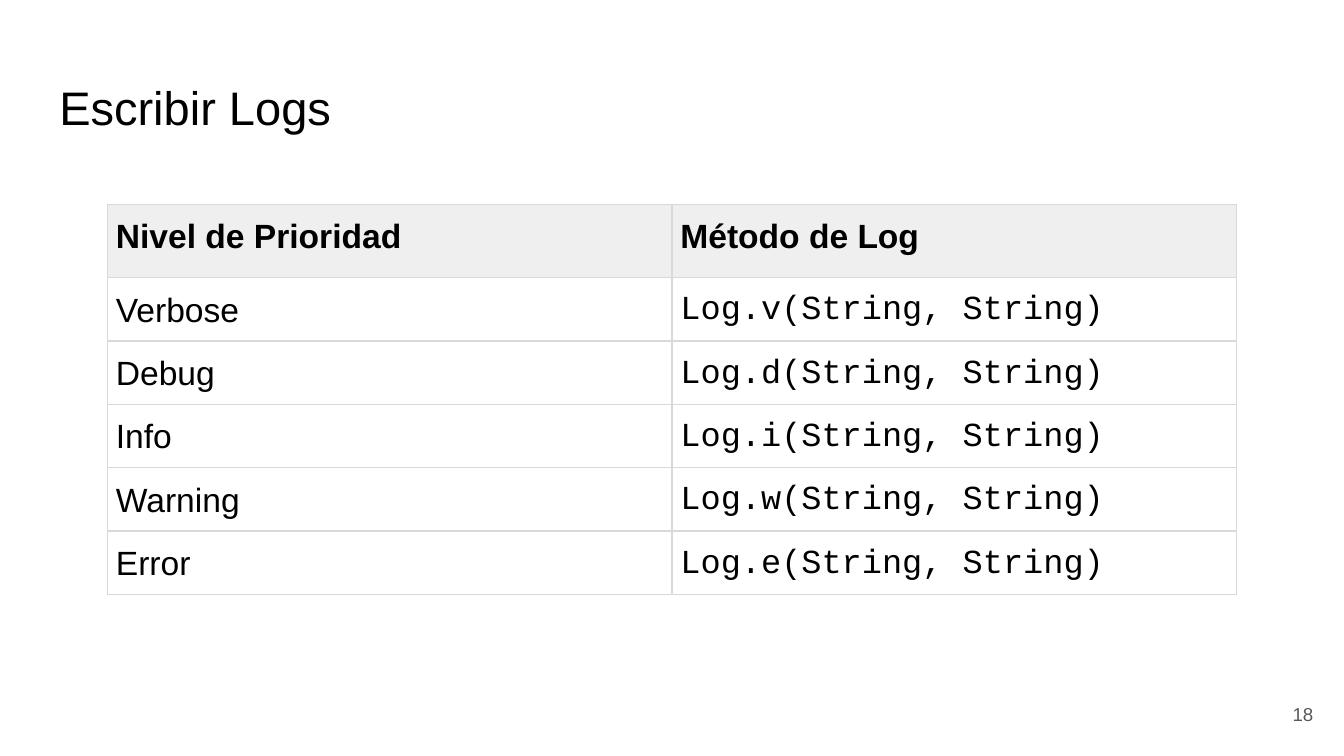
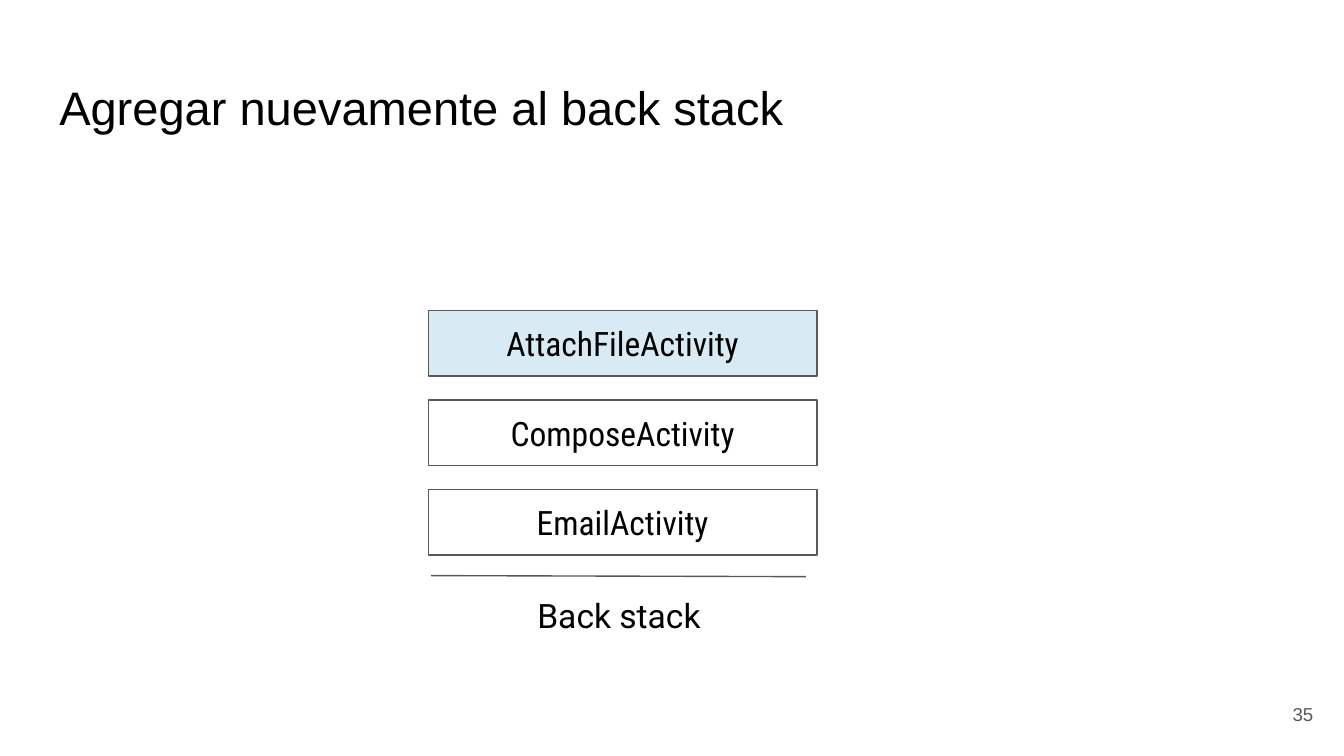
"""Build two slides: a table of log methods and a back stack diagram."""
from dataclasses import dataclass

from lxml.etree import SubElement
from pptx import Presentation
from pptx.dml.color import RGBColor as Rgb
from pptx.enum.shapes import MSO_CONNECTOR as Connector, MSO_SHAPE as Preset
from pptx.enum.text import MSO_ANCHOR as Anchor, PP_ALIGN as Align
from pptx.oxml.ns import qn
from pptx.util import Cm, Pt


@dataclass(frozen=True)
class Theme:
    ink: str = "000000"
    gray: str = "595959"
    paper: str = "FFFFFF"
    header: str = "EFEFEF"
    border: str = "D9D9D9"
    accent: str = "0E87C0"
    sans: str = "Arial"
    code: str = "Courier New"
    label: str = "Roboto"
    activity: str = "Roboto Condensed"
    title_size: float = 25.2
    body_size: float = 18
    number_size: float = 10
    line_width: float = 0.75


theme = Theme()


def write(frame, text, font, size=theme.body_size, color=theme.ink,
          align=Align.LEFT, anchor=Anchor.MIDDLE, inset=0.25):
    frame.text = text
    frame.word_wrap = True
    frame.vertical_anchor = anchor
    frame.margin_left = frame.margin_right = Cm(inset)
    frame.margin_top = frame.margin_bottom = Cm(inset)
    paragraph = frame.paragraphs[0]
    paragraph.alignment = align
    run = paragraph.runs[0]
    run.font.name = font
    run.font.size = Pt(size)
    run.font.color.rgb = Rgb.from_string(color)


def draw_borders(cell):
    properties = cell._tc.get_or_add_tcPr()
    for side in ("a:lnL", "a:lnR", "a:lnT", "a:lnB"):
        edge = SubElement(properties, qn(side), w=str(Pt(theme.line_width)))
        fill = SubElement(edge, qn("a:solidFill"))
        SubElement(fill, qn("a:srgbClr"), val=theme.border)


deck = Presentation()
deck.slide_width = Cm(25.4)
deck.slide_height = Cm(14.29)

slides = []
for heading, number in (("Escribir Logs", "18"),
                        ("Agregar nuevamente al back stack", "35")):
    slide = deck.slides.add_slide(deck.slide_layouts[5])
    slide.background.fill.solid()
    slide.background.fill.fore_color.rgb = Rgb.from_string(theme.paper)
    title = slide.shapes.title
    title.left, title.top = Cm(0.87), Cm(1.24)
    title.width, title.height = Cm(23.67), Cm(1.6)
    write(title.text_frame, heading, theme.sans, theme.title_size, anchor=Anchor.TOP)
    page = slide.shapes.add_textbox(Cm(23.55), Cm(12.95), Cm(1.52), Cm(1.09))
    write(page.text_frame, number, theme.sans, theme.number_size, theme.gray, Align.RIGHT)
    slides.append(slide)
logs_slide, stack_slide = slides

log_rows = [("Nivel de Prioridad", "Método de Log")]
for level in ("Verbose", "Debug", "Info", "Warning", "Error"):
    log_rows.append((level, f"Log.{level[0].lower()}(String, String)"))

header_height, row_height = 1.39, 1.16
log_table = logs_slide.shapes.add_table(
    len(log_rows), 2, Cm(2.03), Cm(3.86), Cm(21.34),
    Cm(header_height + row_height * (len(log_rows) - 1))).table
log_table.first_row = log_table.horz_banding = False
for column in log_table.columns:
    column.width = Cm(10.67)
for row_index, texts in enumerate(log_rows):
    is_header = row_index == 0
    log_table.rows[row_index].height = Cm(header_height if is_header else row_height)
    for column_index, text in enumerate(texts):
        cell = log_table.cell(row_index, column_index)
        is_code = column_index == 1 and not is_header
        write(cell.text_frame, text, theme.code if is_code else theme.sans)
        cell.vertical_anchor = Anchor.TOP
        cell.margin_left = cell.margin_right = Cm(0.16)
        cell.margin_top = cell.margin_bottom = Cm(0.16)
        paragraph = cell.text_frame.paragraphs[0]
        paragraph.line_spacing = 1.15
        paragraph.runs[0].font.bold = is_header
        draw_borders(cell)
        if is_header:
            cell.fill.solid()
            cell.fill.fore_color.rgb = Rgb.from_string(theme.header)
        else:
            cell.fill.background()

caption = stack_slide.shapes.add_textbox(Cm(8.59), Cm(11.3), Cm(6.22), Cm(0.66))
write(caption.text_frame, "Back stack", theme.label, align=Align.CENTER)

base_line = stack_slide.shapes.add_connector(
    Connector.STRAIGHT, Cm(8.15), Cm(10.88), Cm(15.23), Cm(10.9))
base_line.line.color.rgb = Rgb.from_string(theme.gray)
base_line.line.width = Pt(theme.line_width)
SubElement(base_line._element.spPr, qn("a:effectLst"))

activities = (("EmailActivity", theme.paper), ("ComposeActivity", None),
              ("AttachFileActivity", theme.accent))
for level, (name, color) in enumerate(activities):
    activity = stack_slide.shapes.add_shape(
        Preset.RECTANGLE, Cm(8.1), Cm(9.25 - 1.69 * level), Cm(7.34), Cm(1.24))
    activity.shadow.inherit = False
    activity.line.color.rgb = Rgb.from_string(theme.gray)
    activity.line.width = Pt(theme.line_width)
    if color:
        activity.fill.solid()
        activity.fill.fore_color.rgb = Rgb.from_string(color)
    else:
        activity.fill.background()
    if color == theme.accent:
        tint = activity._element.spPr.find(qn("a:solidFill")).find(qn("a:srgbClr"))
        SubElement(tint, qn("a:alpha"), val="16000")
    write(activity.text_frame, name, theme.activity, align=Align.CENTER)

deck.save("out.pptx")
